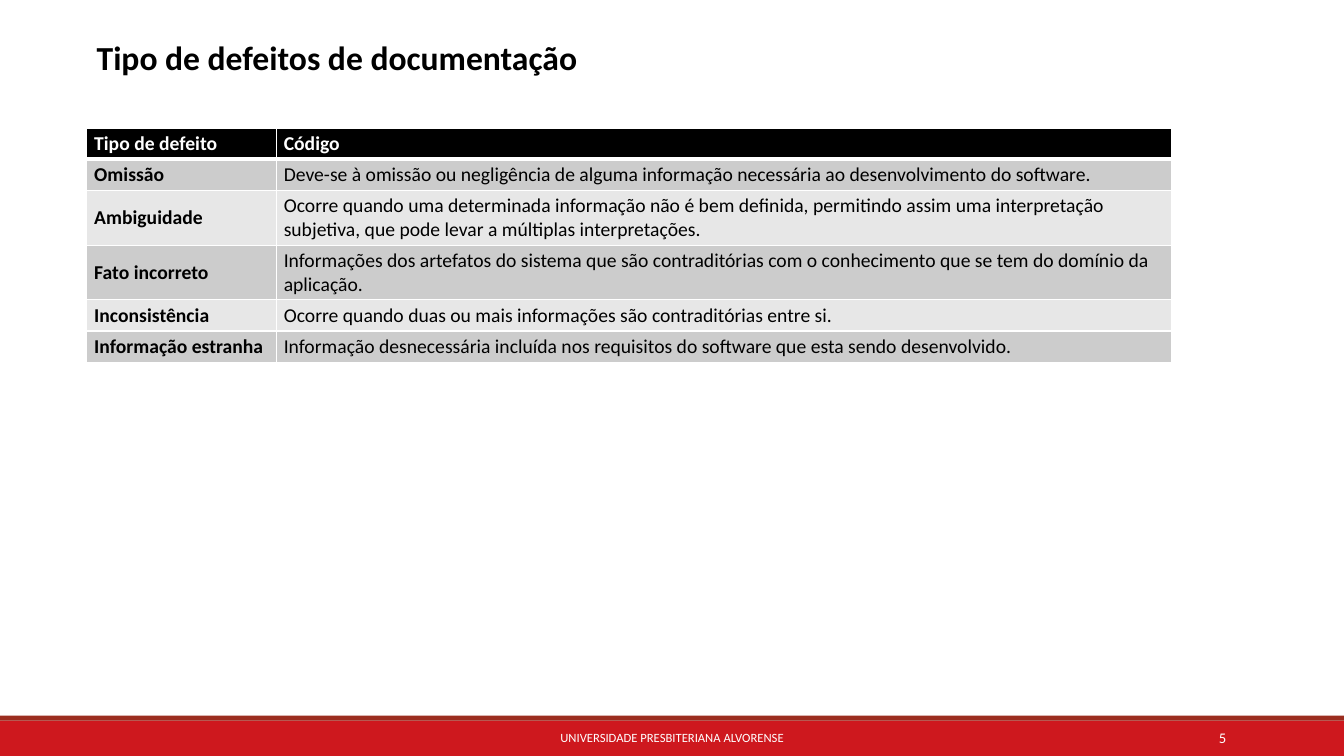
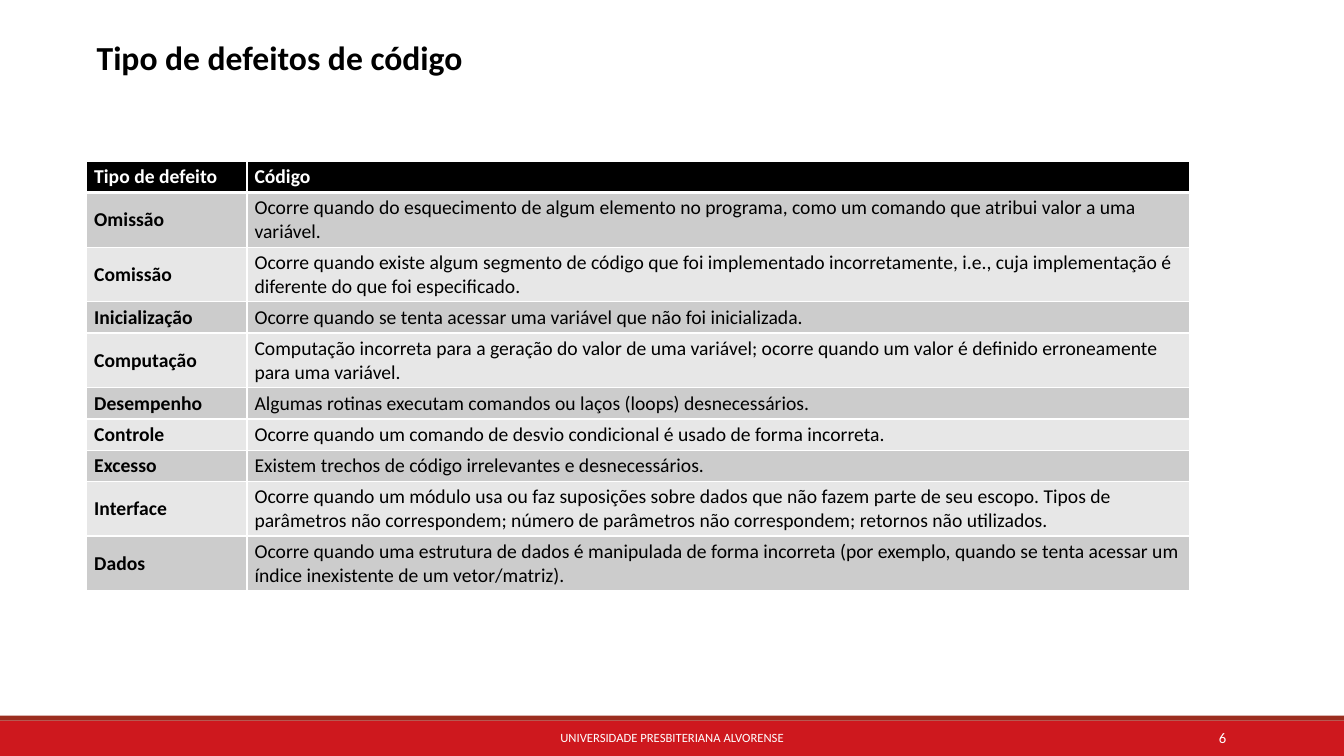
from lxml import etree
from pptx import Presentation
from pptx import util as u
from pptx.dml.color import RGBColor
from pptx.enum import shapes, text
from pptx.oxml import ns

BLACK = RGBColor(0x00, 0x00, 0x00)
WHITE = RGBColor(0xFF, 0xFF, 0xFF)
RED = RGBColor(0xCE, 0x18, 0x1E)
BRICK = RGBColor(0x9B, 0x2D, 0x1F)
GRAYS = (RGBColor(0xCC, 0xCC, 0xCC), RGBColor(0xE7, 0xE7, 0xE7))

FONT = "Calibri"
FOOTER = "UNIVERSIDADE PRESBITERIANA ALVORENSE"
HEAD = ("Tipo de defeito", "Código")
FIRST = 5
LEFT = 0.86
PAD = u.Inches(0.15)
LINE = 100
BANDS = [(7.15, 0.35, RED), (7.1, 0.05, BRICK)]

PAGES = [
    {
        "title": "Tipo de defeitos de documentação",
        "top": 1.27,
        "cols": (1.88, 8.88),
        "rows": [
            ("Omissão", "Deve-se à omissão ou negligência de alguma informação necessária "
             "ao desenvolvimento do software."),
            ("Ambiguidade", "Ocorre quando uma determinada informação não é bem definida, "
             "permitindo assim uma interpretação subjetiva, que pode levar a múltiplas "
             "interpretações."),
            ("Fato incorreto", "Informações dos artefatos do sistema que são contraditórias "
             "com o conhecimento que se tem do domínio da aplicação."),
            ("Inconsistência", "Ocorre quando duas ou mais informações são contraditórias "
             "entre si."),
            ("Informação estranha", "Informação desnecessária incluída nos requisitos do "
             "software que esta sendo desenvolvido."),
        ],
    },
    {
        "title": "Tipo de defeitos de código",
        "top": 1.6,
        "cols": (1.59, 9.35),
        "rows": [
            ("Omissão", "Ocorre quando do esquecimento de algum elemento no programa, como "
             "um comando que atribui valor a uma variável."),
            ("Comissão", "Ocorre quando existe algum segmento de código que foi implementado "
             "incorretamente, i.e., cuja implementação é diferente do que foi especificado."),
            ("Inicialização", "Ocorre quando se tenta acessar uma variável que não foi "
             "inicializada."),
            ("Computação", "Computação incorreta para a geração do valor de uma variável; "
             "ocorre quando um valor é definido erroneamente para uma variável."),
            ("Desempenho", "Algumas rotinas executam comandos ou laços (loops) "
             "desnecessários."),
            ("Controle", "Ocorre quando um comando de desvio condicional é usado de forma "
             "incorreta."),
            ("Excesso", "Existem trechos de código irrelevantes e desnecessários."),
            ("Interface", "Ocorre quando um módulo usa ou faz suposições sobre dados que não "
             "fazem parte de seu escopo. Tipos de parâmetros não correspondem; número de "
             "parâmetros não correspondem; retornos não utilizados."),
            ("Dados", "Ocorre quando uma estrutura de dados é manipulada de forma incorreta "
             "(por exemplo, quando se tenta acessar um índice inexistente de um "
             "vetor/matriz)."),
        ],
    },
]


def write(frame, words, size=14, color=BLACK, bold=False, align=text.PP_ALIGN.LEFT):
    para = frame.paragraphs[0]
    para.alignment = align
    run = para.add_run()
    run.text = words
    font = run.font
    font.name, font.size, font.bold = FONT, u.Pt(size), bold
    font.color.rgb = color


def label(slide, box, words, anchor=text.MSO_ANCHOR.MIDDLE, **look):
    frame = slide.shapes.add_textbox(*map(u.Inches, box)).text_frame
    frame.word_wrap = True
    frame.vertical_anchor = anchor
    write(frame, words, **look)


def border(cell, **widths):
    props = cell._tc.get_or_add_tcPr()
    for side in "LRTB":
        width = u.Pt(widths.get(side, 1))
        line = etree.SubElement(props, ns.qn("a:ln" + side), w=str(width))
        fill = etree.SubElement(line, ns.qn("a:solidFill"))
        etree.SubElement(fill, ns.qn("a:srgbClr"), val=str(WHITE))


def footer(slide, number, wide):
    for top, high, color in BANDS:
        band = slide.shapes.add_shape(
            shapes.MSO_SHAPE.RECTANGLE, 0, u.Inches(top), wide, u.Inches(high))
        band.shadow.inherit = False
        band.fill.solid()
        band.fill.fore_color.rgb = color
        band.line.fill.background()
    label(slide, (4.03, 7.18, 5.27, 0.28), FOOTER,
          size=9, color=WHITE, align=text.PP_ALIGN.CENTER)
    label(slide, (10.83, 7.18, 1.43, 0.28), str(number),
          size=10.5, color=WHITE, align=text.PP_ALIGN.RIGHT)


def grid(slide, top, cols, rows):
    rows = [HEAD] + rows
    highs = [0.54 if len(row[1]) > LINE else 0.31 for row in rows]
    box = (LEFT, top, sum(cols), sum(highs))
    table = slide.shapes.add_table(len(rows), len(cols), *map(u.Inches, box)).table
    table.first_row = table.horz_banding = False
    for col, wide in zip(table.columns, cols):
        col.width = u.Inches(wide)
    for r, (row, high) in enumerate(zip(rows, highs)):
        table.rows[r].height = u.Inches(high)
        for c, words in enumerate(row):
            cell = table.cell(r, c)
            cell.margin_left = cell.margin_right = PAD // 2
            cell.margin_top = cell.margin_bottom = PAD // 4
            if r and c == 0:
                cell.vertical_anchor = text.MSO_ANCHOR.MIDDLE
            border(cell, T=3 if r == 1 else 1, B=1 if r else 3)
            cell.fill.solid()
            cell.fill.fore_color.rgb = GRAYS[(r - 1) % 2] if r else BLACK
            write(cell.text_frame, words, color=BLACK if r else WHITE,
                  bold=r == 0 or c == 0)


def main():
    deck = Presentation()
    deck.slide_width, deck.slide_height = u.Inches(13.33), u.Inches(7.5)
    for number, page in enumerate(PAGES, FIRST):
        slide = deck.slides.add_slide(deck.slide_layouts[6])
        footer(slide, number, deck.slide_width)
        label(slide, (LEFT, 0.32, 5.19, 0.5), page["title"],
              anchor=text.MSO_ANCHOR.TOP, size=24, bold=True)
        grid(slide, page["top"], page["cols"], page["rows"])
    deck.save("out.pptx")


if __name__ == "__main__":
    main()
